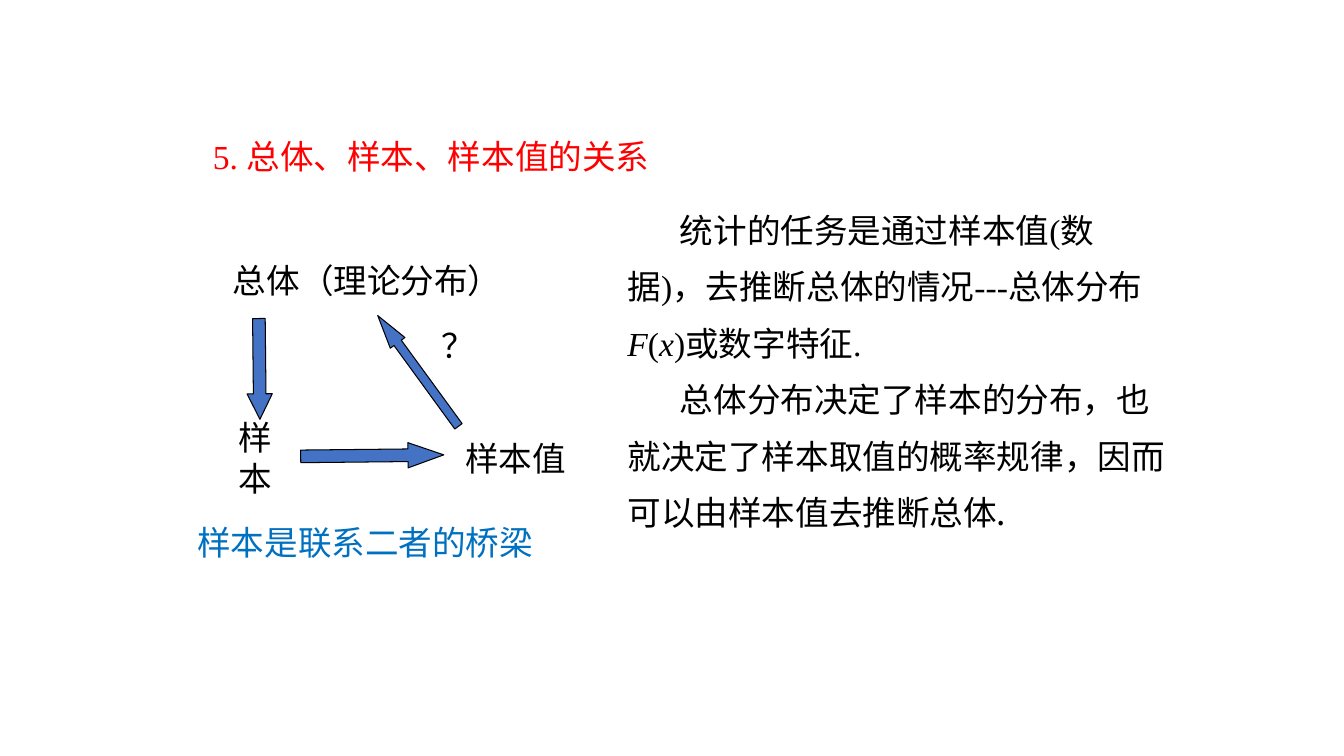
from lxml.etree import SubElement
from pptx import Presentation
from pptx.dml.color import RGBColor
from pptx.enum.shapes import MSO_SHAPE
from pptx.enum.text import MSO_ANCHOR, MSO_AUTO_SIZE, PP_ALIGN
from pptx.oxml.ns import qn
from pptx.util import Inches, Pt

BLACK = RGBColor(0x00, 0x00, 0x00)
RED = RGBColor(0xFF, 0x00, 0x00)
BLUE = RGBColor(0x00, 0x70, 0xC0)
FILL = RGBColor(0x44, 0x72, 0xC4)
SANS = "Noto Sans CJK SC"
SERIF = "Times New Roman"


def add_text(slide, parts, left, top, width, height=0.5, font=SANS, color=BLACK,
             align=PP_ALIGN.CENTER, wrap=True, indent=0, spacing=None):
    """Add a text box of one paragraph, in which every second part is italic."""
    box = slide.shapes.add_textbox(
        Inches(left), Inches(top), Inches(width), Inches(height))
    frame = box.text_frame
    frame.word_wrap = wrap
    frame.auto_size = MSO_AUTO_SIZE.SHAPE_TO_FIT_TEXT
    frame.vertical_anchor = MSO_ANCHOR.MIDDLE
    para = frame.paragraphs[0]
    para.alignment = align
    para.line_spacing = spacing
    if indent:
        para._p.get_or_add_pPr().set("indent", str(Inches(indent)))
    for i, part in enumerate(parts):
        run = para.add_run()
        run.text = part
        run.font.size = Pt(24)
        run.font.name = font
        run.font.italic = i % 2 == 1
        run.font.color.rgb = color
        SubElement(run.font._element, qn("a:ea"), typeface=SANS)


def add_arrow(slide, left, top, width, height, angle, head):
    """Add a block arrow turned by an angle, with a head of the given ratio."""
    arrow = slide.shapes.add_shape(
        MSO_SHAPE.DOWN_ARROW,
        Inches(left), Inches(top), Inches(width), Inches(height))
    arrow.rotation = angle
    arrow.adjustments[0] = 0.5
    arrow.adjustments[1] = head
    arrow.shadow.inherit = False
    arrow.fill.solid()
    arrow.fill.fore_color.rgb = FILL
    arrow.line.color.rgb = BLACK
    arrow.line.width = Pt(0.75)


def add_body(slide, parts, top, width, font):
    """Add an indented body paragraph on the right."""
    add_text(slide, parts, 6.13, top, width, 1.78, font=font,
             align=PP_ALIGN.LEFT, indent=0.52, spacing=1.4)


def main():
    """Build the slide and save it."""
    deck = Presentation()
    deck.slide_width = Inches(13.34)
    deck.slide_height = Inches(7.5)
    slide = deck.slides.add_slide(deck.slide_layouts[6])

    add_text(slide, ["5. 总体、样本、样本值的关系"], 1.28, 1.3, 6,
             font=SERIF, color=RED)
    add_text(slide, ["总体（理论分布）"], 2.19, 2.53, 2.91)
    add_text(slide, ["样本"], 2.1, 4.29, 0.86, wrap=False)
    add_text(slide, ["样本值"], 4.52, 4.29, 1.2, wrap=False)
    add_text(slide, ["？"], 4.23, 3.17, 0.64)
    add_text(slide, ["样本是联系二者的桥梁"], 1.86, 5.13, 3.53,
             color=BLUE, wrap=False)

    add_arrow(slide, 2.45, 3.16, 0.25, 1, 359.4, 1.01)
    add_arrow(slide, 3.57, 3.81, 0.25, 1.42, 269.4, 1.42)
    add_arrow(slide, 4.06, 3, 0.18, 1.36, 143.9, 1.86)

    add_body(slide, ["统计的任务是通过样本值(数据)，去推断总体的情况---总体分布",
                     "F", "(", "x", ")或数字特征."], 1.87, 5.5, SERIF)
    add_body(slide, ["总体分布决定了样本的分布，也就决定了样本取值的概率规律，"
                     "因而可以由样本值去推断总体."], 3.55, 5.71, SANS)
    deck.save("out.pptx")


if __name__ == "__main__":
    main()
